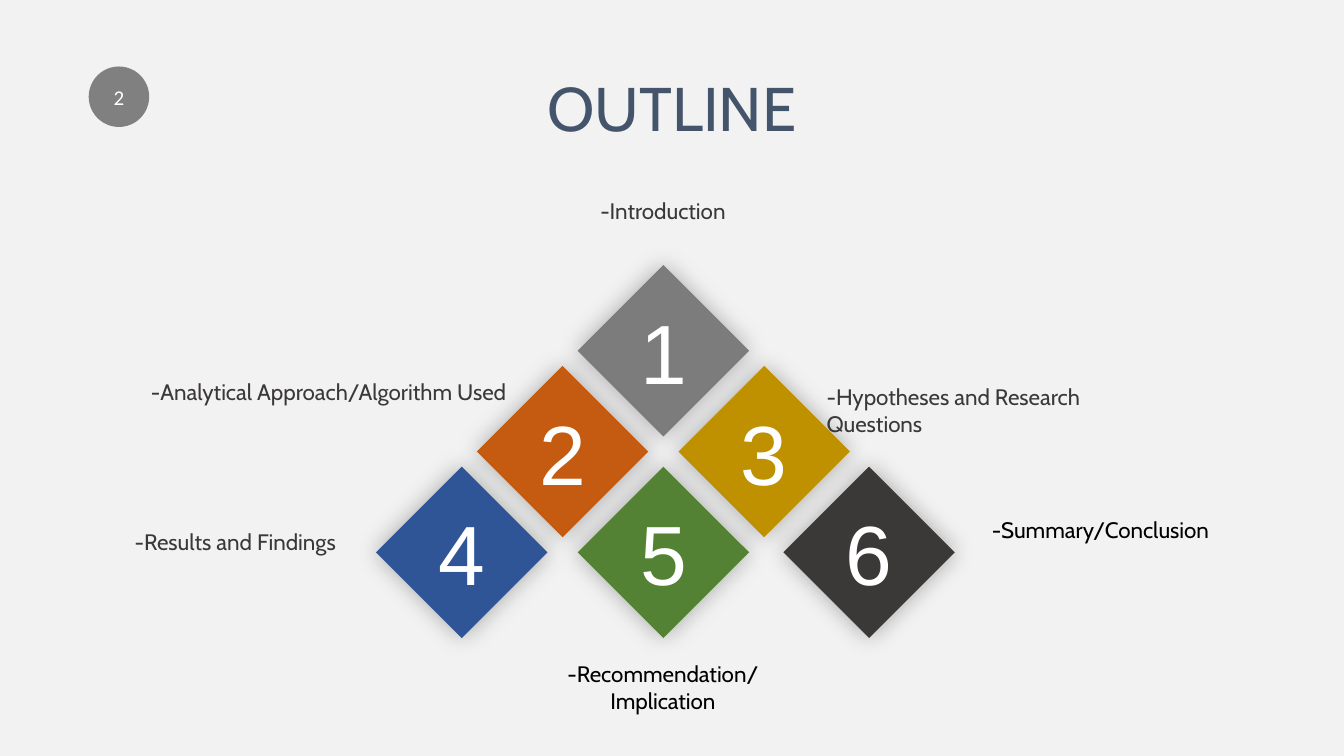
from lxml import etree
from pptx import Presentation
from pptx.dml.color import RGBColor
from pptx.enum.shapes import MSO_SHAPE
from pptx.enum.text import MSO_ANCHOR, MSO_AUTO_SIZE, PP_ALIGN
from pptx.oxml.ns import qn
from pptx.util import Inches, Pt

DIAMOND, OVAL = MSO_SHAPE.DIAMOND, MSO_SHAPE.OVAL
TOP, MIDDLE = MSO_ANCHOR.TOP, MSO_ANCHOR.MIDDLE
LEFT, CENTER, RIGHT = PP_ALIGN.LEFT, PP_ALIGN.CENTER, PP_ALIGN.RIGHT
GROW, FIXED = MSO_AUTO_SIZE.SHAPE_TO_FIT_TEXT, MSO_AUTO_SIZE.NONE

SIDE = 1.7
PEAK = 2.63
DARK, BLACK, WHITE = "3B3838", "000000", "FFFFFF"

# row, diamond left, fill, label, label left, top, width, alignment, colour
TOPICS = [
    (0, 5.73, "7C7C7C", "-Introduction", 5.5, 1.91, 2.15, CENTER, DARK),
    (1, 4.73, "C55A11", "-Analytical Approach/Algorithm Used",
     1.23, 3.7, 3.89, RIGHT, DARK),
    (1, 6.73, "BF9000", "-Hypotheses and Research Questions",
     8.1, 3.75, 3.5, LEFT, DARK),
    (2, 3.73, "2F5597", "-Results and Findings", 1, 5.19, 2.43, RIGHT, DARK),
    (2, 5.73, "548235", "-Recommendation/Implication",
     5.05, 6.5, 3.05, CENTER, BLACK),
    (2, 7.77, "3B3838", "-Summary/Conclusion", 9.74, 5.07, 2.79, LEFT, BLACK),
]


def rgb(code):
    return RGBColor.from_string(code)


def box(left, top, width, height):
    return [Inches(n) for n in (left, top, width, height)]


def write(shape, text, size, font, color, align=CENTER, anchor=MIDDLE):
    """Fill a shape with one styled paragraph and return that paragraph."""
    frame = shape.text_frame
    frame.text = text
    frame.word_wrap = True
    frame.vertical_anchor = anchor
    para = frame.paragraphs[0]
    para.alignment = align
    para.font.size = Pt(size)
    para.font.name = font
    para.font.color.rgb = rgb(color)
    return para


def add_solid(shapes, kind, place, fill):
    shape = shapes.add_shape(kind, *place)
    shape.fill.solid()
    shape.fill.fore_color.rgb = rgb(fill)
    shape.line.fill.background()
    shape.shadow.inherit = False
    return shape


def add_glow(shape):
    """Give the shape a soft, centred black shadow."""
    effects = shape._element.spPr.find(qn("a:effectLst"))
    shade = etree.SubElement(effects, qn("a:outerShdw"), blurRad=str(Pt(17)),
                             dist="0", dir="0", algn="ctr", rotWithShape="0")
    color = etree.SubElement(shade, qn("a:srgbClr"), val=BLACK)
    etree.SubElement(color, qn("a:alpha"), val="29000")


def add_topic(slide, number, topic):
    row, x, fill, text, left, top, width, align, color = topic
    shapes = slide.shapes.add_group_shape().shapes
    tile = add_solid(shapes, DIAMOND, box(x, PEAK + row, SIDE, SIDE), fill)
    add_glow(tile)
    write(tile, str(number), 60, "Arial", WHITE)
    label = shapes.add_textbox(*box(left, top, width, 0.37))
    write(label, text, 16, "Cabin", color, align, TOP)
    label.text_frame.auto_size = GROW


def add_title(slide, text):
    title = slide.shapes.title
    title.left, title.top, title.width, title.height = box(
        0.87, 0.73, 11.59, 1.25)
    para = write(title, text, 44, "Cabin", "44546A", CENTER, TOP)
    para.line_spacing = 0.9
    title.text_frame.auto_size = FIXED


def add_badge(slide, text):
    badge = add_solid(slide.shapes, OVAL, box(0.88, 0.66, 0.6, 0.6), "808080")
    para = write(badge, text, 15, "Calibri", WHITE)
    para.space_after = Pt(6)


def main():
    deck = Presentation()
    deck.slide_width, deck.slide_height = Inches(13.33), Inches(7.5)
    slide = deck.slides.add_slide(deck.slide_layouts[5])
    back = slide.background.fill
    back.solid()
    back.fore_color.rgb = rgb("F2F2F2")
    add_title(slide, "OUTLINE")
    for number, topic in enumerate(TOPICS, 1):
        add_topic(slide, number, topic)
    add_badge(slide, "2")
    deck.save("out.pptx")


if __name__ == "__main__":
    main()
